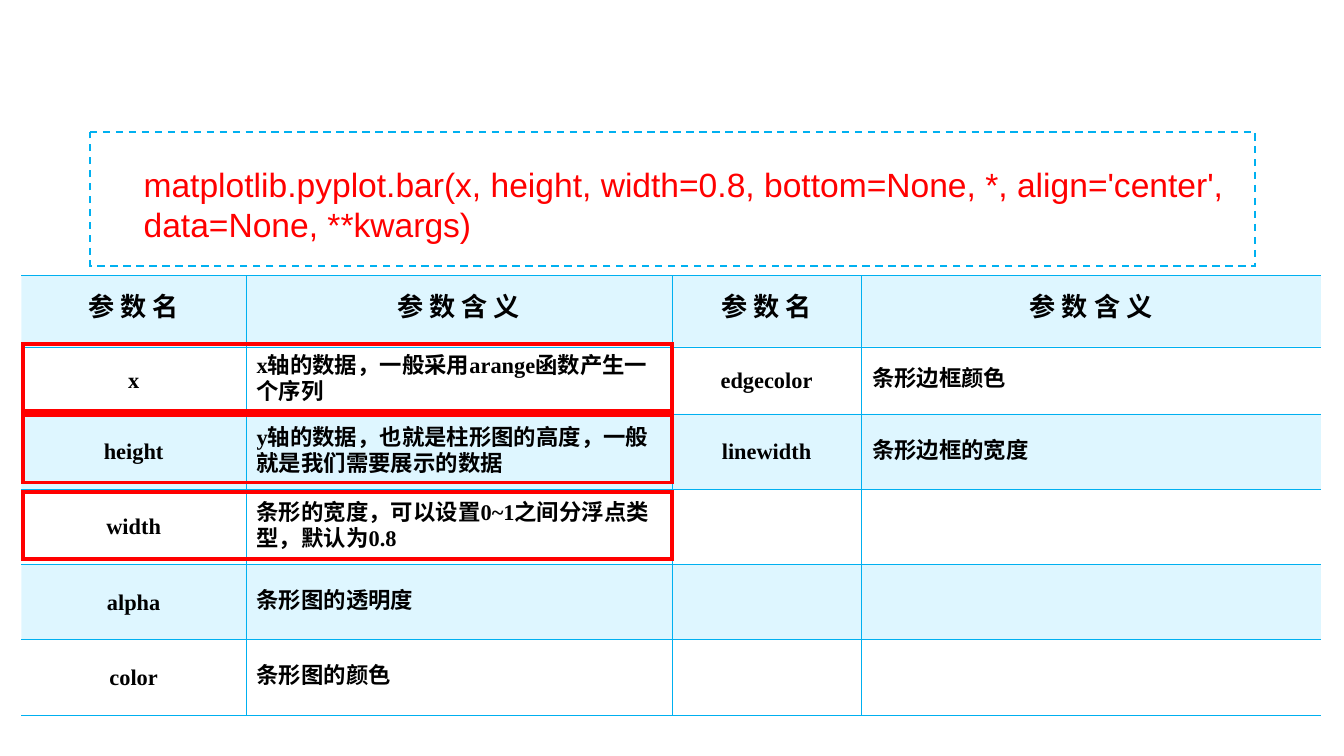
from lxml import etree
from pptx import Presentation
from pptx.dml.color import RGBColor
from pptx.enum import dml, shapes, text
from pptx.oxml import ns
from pptx.util import Inches, Pt

COLORS = {
    "border": "00B0F0",
    "band": "5DD5FF",
    "accent": "FF0000",
    "ink": "000000",
}
SIGNATURE = ("matplotlib.pyplot.bar(x, height, width=0.8, bottom=None, *, "
             "align='center', data=None, **kwargs)")
PARAMETERS = [
    ["参 数 名", "参 数 含 义", "参 数 名", "参 数 含 义"],
    ["x", "x轴的数据，一般采用arange函数产生一个序列", "edgecolor", "条形边框颜色"],
    ["height", "y轴的数据，也就是柱形图的高度，一般就是我们需要展示的数据",
     "linewidth", "条形边框的宽度"],
    ["width", "条形的宽度，可以设置0~1之间分浮点类型，默认为0.8", "", ""],
    ["alpha", "条形图的透明度", "", ""],
    ["color", "条形图的颜色", "", ""],
]
COLUMN_WIDTHS = [1.67, 3.17, 1.41, 3.42]
ROW_HEIGHTS = [0.53, 0.5] + [0.56] * 4
TABLE_LEFT, TABLE_TOP = 0.16, 2.05
HIGHLIGHT_TOPS = [2.56, 3.09, 3.66]


def rgb(name):
    return RGBColor.from_string(COLORS[name])


def write(frame, content, *, size, font, color="ink", bold=False,
          align=text.PP_ALIGN.LEFT, line_spacing=None):
    frame.word_wrap = True
    paragraph = frame.paragraphs[0]
    paragraph.alignment = align
    if line_spacing:
        paragraph.line_spacing = Pt(line_spacing)
    run = paragraph.add_run()
    run.text = content
    run.font.size = Pt(size)
    run.font.name = font
    run.font.bold = bold
    run.font.color.rgb = rgb(color)


def add_outline(slide, kind, box, color, width, dash=None):
    outline = slide.shapes.add_shape(kind, *map(Inches, box))
    outline.shadow.inherit = False
    outline.fill.background()
    outline.line.color.rgb = rgb(color)
    outline.line.width = Pt(width)
    if dash:
        outline.line.dash_style = dash
    line = outline.line._get_or_add_ln()
    etree.SubElement(line, ns.qn("a:miter"), lim="800000")
    return outline


def set_borders(cell, visible):
    """Draw the visible sides (of L, R, T, B) and hide the others."""
    properties = cell._tc.get_or_add_tcPr()
    for position, side in enumerate("LRTB"):
        line = etree.Element(ns.qn(f"a:ln{side}"), w=str(Pt(0.23)))
        if side in visible:
            fill = etree.SubElement(line, ns.qn("a:solidFill"))
            etree.SubElement(fill, ns.qn("a:srgbClr"), val=COLORS["border"])
        else:
            etree.SubElement(line, ns.qn("a:noFill"))
        properties.insert(position, line)


def fill_cell(cell, banded):
    if not banded:
        cell.fill.background()
        return
    cell.fill.solid()
    cell.fill.fore_color.rgb = rgb("band")
    color = cell._tc.tcPr.find(".//" + ns.qn("a:srgbClr"))
    etree.SubElement(color, ns.qn("a:alpha"), val="20000")


def add_parameter_table(slide):
    frame = slide.shapes.add_table(
        len(ROW_HEIGHTS), len(COLUMN_WIDTHS), Inches(TABLE_LEFT), Inches(TABLE_TOP),
        Inches(sum(COLUMN_WIDTHS)), Inches(sum(ROW_HEIGHTS)))
    table = frame.table
    for column, width in zip(table.columns, COLUMN_WIDTHS):
        column.width = Inches(width)
    last = len(COLUMN_WIDTHS) - 1
    for r, (row, height) in enumerate(zip(PARAMETERS, ROW_HEIGHTS)):
        table.rows[r].height = Inches(height)
        for c, content in enumerate(row):
            cell = table.cell(r, c)
            cell.vertical_anchor = text.MSO_ANCHOR.MIDDLE
            cell.margin_left = cell.margin_right = Inches(0.08)
            fill_cell(cell, banded=r % 2 == 0)
            set_borders(cell, "TB" + "L" * (c > 0) + "R" * (c < last))
            if content:
                centred = r == 0 or c % 2 == 0
                write(cell.text_frame, content, size=14 if r == 0 else 12,
                      font="Times New Roman", bold=True, line_spacing=14,
                      align=text.PP_ALIGN.CENTER if centred else text.PP_ALIGN.LEFT)


def add_signature(slide):
    frame = add_outline(slide, shapes.MSO_SHAPE.ROUNDED_RECTANGLE,
                        (0.67, 0.98, 8.67, 1), "border", 1, dml.MSO_LINE.DASH)
    frame.adjustments[0] = 0
    signature = slide.shapes.add_textbox(*map(Inches, (0.97, 1.17, 8.28, 0.7)))
    write(signature.text_frame, SIGNATURE, size=18, font="Arial", color="accent")


def main():
    deck = Presentation()
    # Widescreen, 16:9
    deck.slide_width = Inches(10)
    deck.slide_height = Inches(10 * 9 / 16)
    slide = deck.slides.add_slide(deck.slide_layouts[6])

    # Parameter table and function signature
    add_parameter_table(slide)
    add_signature(slide)

    # Highlights around the key parameters
    for top in HIGHLIGHT_TOPS:
        add_outline(slide, shapes.MSO_SHAPE.RECTANGLE,
                    (0.17, top, 4.83, 0.5), "accent", 2)

    deck.save("out.pptx")


if __name__ == "__main__":
    main()
